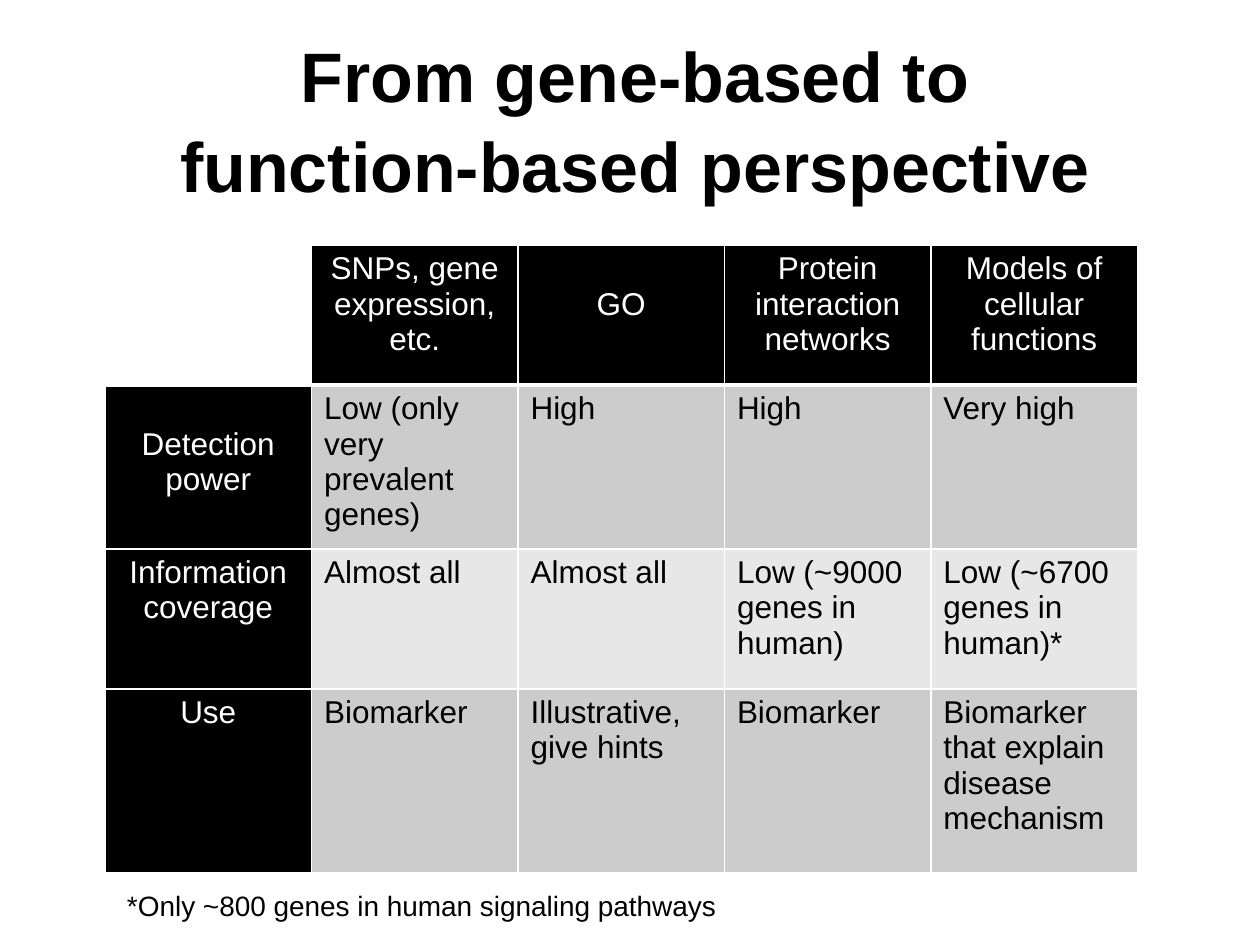
from dataclasses import dataclass

import pptx
import pptx.dml.color
import pptx.enum.text
import pptx.oxml
import pptx.oxml.ns
import pptx.util

Pt = pptx.util.Pt
RGBColor = pptx.dml.color.RGBColor
ALIGN = pptx.enum.text.PP_ALIGN
ANCHOR = pptx.enum.text.MSO_ANCHOR

BLACK = RGBColor(0x00, 0x00, 0x00)
WHITE = RGBColor(0xFF, 0xFF, 0xFF)
GREY = RGBColor(0xCC, 0xCC, 0xCC)
LIGHT = RGBColor(0xE7, 0xE7, 0xE7)

COL_WIDTH = 118
INSET = 3.6
LINE_HEIGHT = 20.1


@dataclass
class Row:
    texts: list[str]
    height: float
    fill: RGBColor


HEADER = Row(["", "SNPs, gene expression, etc.", "GO",
              "Protein interaction networks", "Models of cellular functions"], 80, BLACK)
BODY = [
    Row(["Detection power", "Low (only very prevalent genes)", "High", "High", "Very high"],
        80, GREY),
    Row(["Information coverage", "Almost all", "Almost all",
         "Low (~9000 genes in human)", "Low (~6700 genes in human)*"], 80, LIGHT),
    Row(["Use", "Biomarker", "Illustrative, give hints", "Biomarker",
         "Biomarker that explain disease mechanism"], 105, GREY),
]
LOWERED = {"GO", "Detection power"}


def write(tf, text: str, *, size: float, color: RGBColor = BLACK, bold: bool = False,
          align: ALIGN = ALIGN.LEFT, spacing: float | None = None) -> None:
    p = tf.paragraphs[0]
    p.alignment = align
    p.line_spacing = spacing
    r = p.add_run()
    r.text = text
    r.font.name = "Arial"
    r.font.size = Pt(size)
    r.font.bold = bold
    r.font.color.rgb = color


def add_text(s, text: str, left: float, top: float, width: float, height: float,
             anchor: ANCHOR = ANCHOR.TOP, **style) -> None:
    tf = s.shapes.add_textbox(Pt(left), Pt(top), Pt(width), Pt(height)).text_frame
    tf.word_wrap = True
    tf.vertical_anchor = anchor
    write(tf, text, **style)


def set_borders(cell, bottom: float) -> None:
    tc_pr = cell._tc.get_or_add_tcPr()
    for side, width in {"L": 1, "R": 1, "T": 1, "B": bottom}.items():
        tc_pr.append(pptx.oxml.parse_xml(
            f'<a:ln{side} {pptx.oxml.ns.nsdecls("a")} w="{Pt(width)}">'
            f'<a:solidFill><a:srgbClr val="{WHITE}"/></a:solidFill></a:ln{side}>'))


def fill_cell(cell, text: str, fill: RGBColor, heading: bool, bottom: float) -> None:
    set_borders(cell, bottom)
    if not text:
        cell.fill.background()
        return
    cell.fill.solid()
    cell.fill.fore_color.rgb = BLACK if heading else fill
    if text in LOWERED:
        cell.margin_top = Pt(INSET + LINE_HEIGHT)
    write(cell.text_frame, text, size=18, color=WHITE if heading else BLACK,
          align=ALIGN.CENTER if heading else ALIGN.LEFT)


def add_grid(s, rows: list[Row], left: float, top: float) -> None:
    n_cols = len(rows[0].texts)
    table = s.shapes.add_table(len(rows), n_cols, Pt(left), Pt(top), Pt(n_cols * COL_WIDTH),
                               Pt(sum(row.height for row in rows))).table
    table.first_row = table.horz_banding = False
    for col in table.columns:
        col.width = Pt(COL_WIDTH)
    for i, row in enumerate(rows):
        table.rows[i].height = Pt(row.height)
        for j, text in enumerate(row.texts):
            fill_cell(table.cell(i, j), text, row.fill, i == 0 or j == 0, 3 if i == 0 else 1)


def main() -> None:
    prs = pptx.Presentation()
    prs.slide_width, prs.slide_height = Pt(720), Pt(540)
    s = prs.slides.add_slide(prs.slide_layouts[6])
    add_text(s, "From gene-based to function-based perspective", 82, 21.6, 561.6, 90,
             ANCHOR.MIDDLE, size=40, bold=True, align=ALIGN.CENTER, spacing=1.07)
    add_grid(s, [HEADER, *BODY], 60, 140)
    add_text(s, "*Only ~800 genes in human signaling pathways", 65.5, 504, 584, 26.6, size=16)
    prs.save("out.pptx")


if __name__ == "__main__":
    main()
